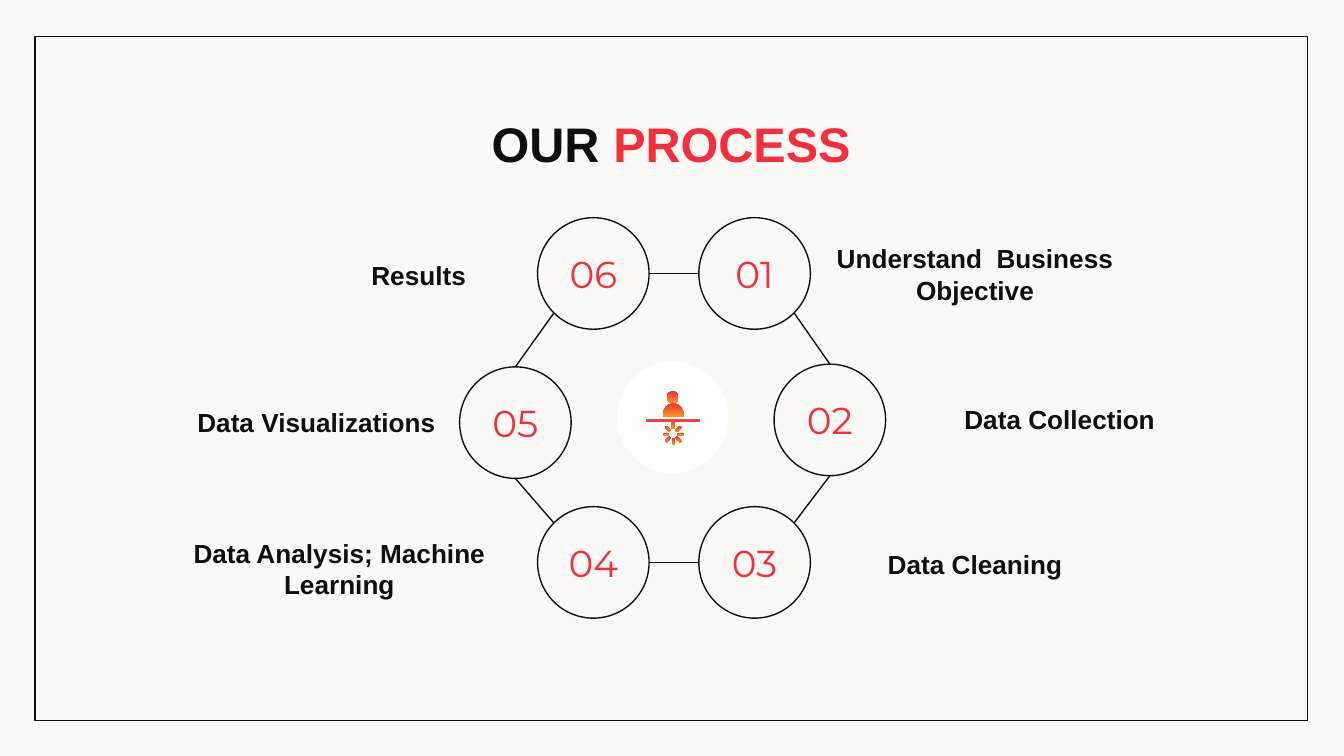
from math import cos, radians, sin

from lxml.etree import SubElement
from pptx import Presentation
from pptx.dml.color import RGBColor
from pptx.enum.shapes import MSO_CONNECTOR as Link, MSO_SHAPE as Shape
from pptx.enum.text import MSO_ANCHOR as Anchor, PP_ALIGN as Align
from pptx.oxml.ns import qn
from pptx.util import Inches, Pt

INK, RED, ORANGE, WHITE, PAPER = "100E0E", "F52E3C", "F59A1B", "FFFFFF", "FAF9F6"
DIAMETER, NUMBER_HEIGHT = 0.83, 0.37
LABEL_WIDTH, LABEL_HEIGHT = 2.45, 0.58

TITLE = [("OUR ", INK), ("PROCESS", RED)]
STEPS = {
    "01": ((5.2, 1.62), "Understand  Business Objective", (6.03, 1.75)),
    "02": ((5.76, 2.71), "Data Collection", (6.66, 2.83)),
    "03": ((5.2, 3.77), "Data Cleaning", (6.03, 3.91)),
    "04": ((4, 3.77), "Data Analysis; Machine Learning", (1.3, 3.94)),
    "05": ((3.42, 2.73), "Data Visualizations", (1.13, 2.85)),
    "06": ((4, 1.62), "Results", (1.89, 1.76)),
}
LINKS = [
    (Link.CURVE, "06", 0, "01", 180),
    (Link.CURVE, "03", 180, "04", 0),
    (Link.STRAIGHT, "05", 270, "06", 135),
    (Link.STRAIGHT, "05", 90, "04", 225),
    (Link.STRAIGHT, "02", 90, "03", 315),
    (Link.STRAIGHT, "01", 45, "02", 270),
]
DESK = [(4.81, 3.12), (4.81, 3.14), (5, 3.14), (5, 3.19),
        (5.02, 3.19), (5.02, 3.14), (5.21, 3.14), (5.21, 3.12)]
BODY = [(5.01 + 0.08 * cos(radians(angle)), 3.1 + 0.1 * sin(radians(angle)))
        for angle in range(180, 361, 15)]
GEAR_CENTER = (5.01, 3.23)
RAY = [(0.03, -0.01), (0.08, -0.01), (0.08, 0.01), (0.03, 0.01)]
RAY_ANGLES = [angle for angle in range(0, 360, 45) if angle != 270]


def color(value):
    return RGBColor.from_string(value)


def add_shape(kind, left, top, width, height, fill=None, line=None):
    shape = page.shapes.add_shape(kind, *map(Inches, (left, top, width, height)))
    shape.shadow.inherit = False
    if fill:
        shape.fill.solid()
        shape.fill.fore_color.rgb = color(fill)
    else:
        shape.fill.background()
    if line:
        shape.line.color.rgb = color(line)
        shape.line.width = Pt(0.75)
    else:
        shape.line.fill.background()
    return shape


def add_text(spans, left, top, width, height, size, font, bold):
    box = page.shapes.add_textbox(*map(Inches, (left, top, width, height)))
    frame = box.text_frame
    frame.word_wrap = True
    frame.vertical_anchor = Anchor.MIDDLE
    frame.margin_left = frame.margin_right = Inches(0.1)
    frame.margin_top = frame.margin_bottom = Inches(0.1)
    para = frame.paragraphs[0]
    para.alignment = Align.CENTER
    for text, tint in spans:
        span = para.add_run()
        span.text = text
        span.font.size = Pt(size)
        span.font.name = font
        span.font.bold = bold
        span.font.color.rgb = color(tint)


def rim_point(step, angle):
    left, top = STEPS[step][0]
    radius = DIAMETER / 2
    turn = radians(angle)
    return Inches(left + radius + radius * cos(turn)), Inches(top + radius + radius * sin(turn))


def add_link(kind, start, start_angle, end, end_angle):
    link = page.shapes.add_connector(kind, *rim_point(start, start_angle), *rim_point(end, end_angle))
    link.line.color.rgb = color(INK)
    link.line.width = Pt(0.75)
    SubElement(link._element.spPr, qn("a:effectLst"))


def paint_icon(shape):
    shape.shadow.inherit = False
    shape.line.fill.background()
    shape.fill.gradient()
    shape.fill.gradient_angle = 270
    for stop, tint, position in zip(shape.fill.gradient_stops, (RED, ORANGE), (0, 1)):
        stop.color.rgb = color(tint)
        stop.position = position


def add_outline(points):
    start, *rest = [(Inches(x), Inches(y)) for x, y in points]
    builder = page.shapes.build_freeform(*start)
    builder.add_line_segments(rest, close=True)
    paint_icon(builder.convert_to_shape())


def turned_ray(angle):
    x, y = GEAR_CENTER
    c, s = cos(radians(angle)), sin(radians(angle))
    return [(x + out * c - side * s, y + out * s + side * c) for out, side in RAY]


deck = Presentation()
deck.slide_width = Inches(10)
deck.slide_height = deck.slide_width * 9 // 16
page = deck.slides.add_slide(deck.slide_layouts[6])
page.background.fill.solid()
page.background.fill.fore_color.rgb = color(PAPER)

add_shape(Shape.RECTANGLE, 0.26, 0.27, 9.47, 5.09, line=INK)
add_shape(Shape.OVAL, 4.59, 2.69, DIAMETER, DIAMETER, fill=WHITE)
add_text(TITLE, 2.35, 0.75, 5.29, 0.63, 26, "Arial", True)

for number, ((left, top), label, label_place) in STEPS.items():
    add_shape(Shape.OVAL, left, top, DIAMETER, DIAMETER, line=INK)
    number_top = top + (DIAMETER - NUMBER_HEIGHT) / 2
    add_text([(number, RED)], left, number_top, DIAMETER, NUMBER_HEIGHT, 20, "Montserrat", False)
    add_text([(label, INK)], *label_place, LABEL_WIDTH, LABEL_HEIGHT, 14, "Arial", True)

for link in LINKS:
    add_link(*link)

paint_icon(add_shape(Shape.OVAL, 4.96, 2.91, 0.09, 0.09))
for points in [BODY, DESK, *map(turned_ray, RAY_ANGLES)]:
    add_outline(points)

deck.save("out.pptx")
